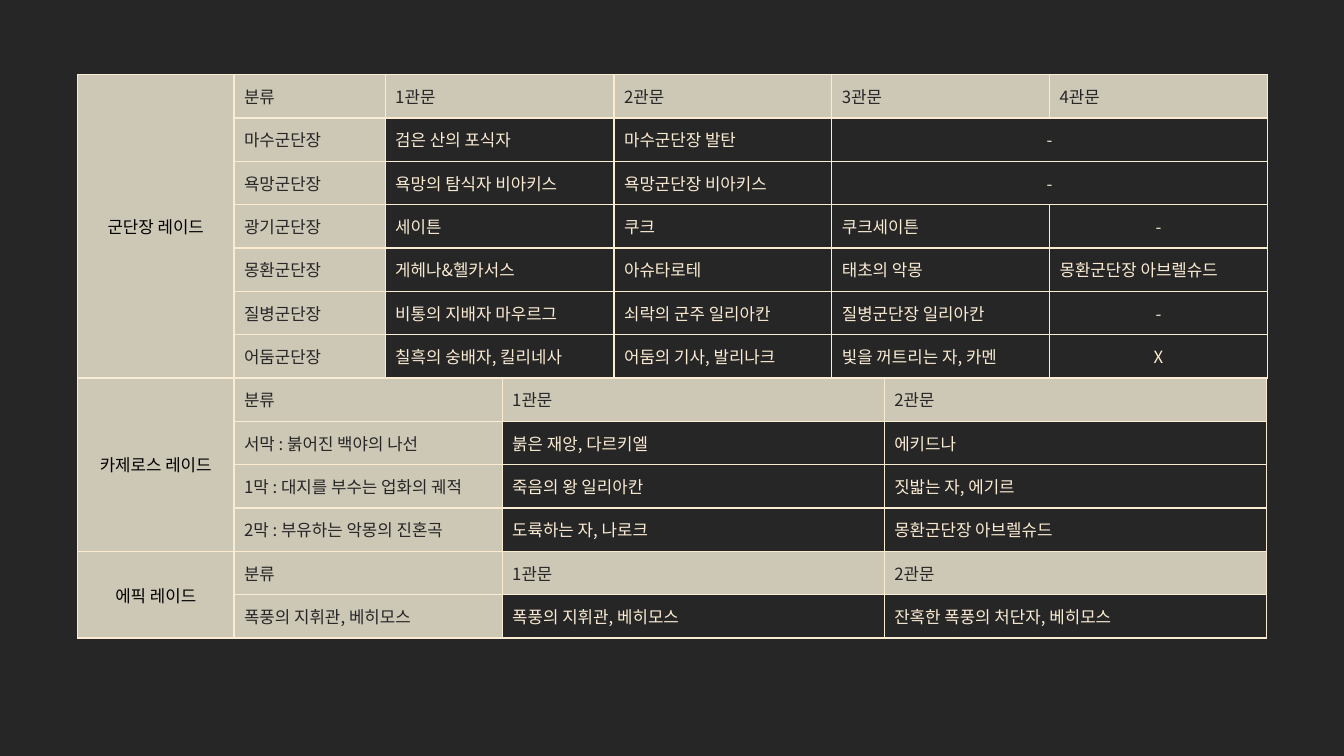
from lxml import etree
from pptx import Presentation
from pptx.dml.color import RGBColor
from pptx.enum.text import MSO_ANCHOR, PP_ALIGN
from pptx.oxml.ns import qn
from pptx.util import Inches, Pt

LEFT, CENTER = PP_ALIGN.LEFT, PP_ALIGN.CENTER
MIDDLE = MSO_ANCHOR.MIDDLE
FONT = "Noto Sans CJK KR"
COLORS = {"dark": "262626", "sand": "CDC7B6", "cream": "FAEBD3", "black": "000000"}
X, Y, ROW = 0.77, 0.74, 0.43

RAIDS = [
    ("군단장 레이드", [1.55, 1.5, 2.27, 2.16, 2.16, 2.16], [
        ["분류", "1관문", "2관문", "3관문", "4관문"],
        ["마수군단장", "검은 산의 포식자", "마수군단장 발탄", "-"],
        ["욕망군단장", "욕망의 탐식자 비아키스", "욕망군단장 비아키스", "-"],
        ["광기군단장", "세이튼", "쿠크", "쿠크세이튼", "-"],
        ["몽환군단장", "게헤나&헬카서스", "아슈타로테", "태초의 악몽", "몽환군단장 아브렐슈드"],
        ["질병군단장", "비통의 지배자 마우르그", "쇠락의 군주 일리아칸", "질병군단장 일리아칸", "-"],
        ["어둠군단장", "칠흑의 숭배자, 킬리네사", "어둠의 기사, 발리나크", "빛을 꺼트리는 자, 카멘", "X"],
    ]),
    ("카제로스 레이드", [1.55, 2.66, 3.79, 3.79], [
        ["분류", "1관문", "2관문"],
        ["서막 : 붉어진 백야의 나선", "붉은 재앙, 다르키엘", "에키드나"],
        ["1막 : 대지를 부수는 업화의 궤적", "죽음의 왕 일리아칸", "짓밟는 자, 에기르"],
        ["2막 : 부유하는 악몽의 진혼곡", "도륙하는 자, 나로크", "몽환군단장 아브렐슈드"],
    ]),
    ("에픽 레이드", [1.55, 2.66, 3.79, 3.79], [
        ["분류", "1관문", "2관문"],
        ["폭풍의 지휘관, 베히모스", "폭풍의 지휘관, 베히모스", "잔혹한 폭풍의 처단자, 베히모스"],
    ]),
]


def write(cell, text, color="cream", align=LEFT, size=12):
    cell.vertical_anchor = MIDDLE
    para = cell.text_frame.paragraphs[0]
    para.alignment = align
    run = para.add_run()
    run.text = text
    run.font.size = Pt(size)
    run.font.name = FONT
    run.font.color.rgb = RGBColor.from_string(COLORS[color])
    etree.SubElement(run.font._element, qn("a:ea"), typeface=FONT)


def style(cell, sand):
    props = cell._tc.get_or_add_tcPr()
    for side in ("lnL", "lnR", "lnT", "lnB"):
        line = etree.SubElement(props, qn("a:" + side), w=str(Pt(1)))
        fill = etree.SubElement(line, qn("a:solidFill"))
        etree.SubElement(fill, qn("a:srgbClr"), val=COLORS["cream"])
    if sand:
        cell.fill.solid()
        cell.fill.fore_color.rgb = RGBColor.from_string(COLORS["sand"])
    else:
        cell.fill.background()


deck = Presentation()
deck.slide_width, deck.slide_height = Inches(13.33), Inches(7.5)
slide = deck.slides.add_slide(deck.slide_layouts[6])
slide.background.fill.solid()
slide.background.fill.fore_color.rgb = RGBColor.from_string(COLORS["dark"])

top = Y
for name, widths, rows in RAIDS:
    high = ROW * len(rows)
    frame = slide.shapes.add_table(
        len(rows), len(widths), Inches(X), Inches(top), Inches(sum(widths)), Inches(high))
    table = frame.table
    table.first_row = table.horz_banding = False
    for col, width in zip(table.columns, widths):
        col.width = Inches(width)
    for r, row in enumerate(rows):
        table.rows[r].height = Inches(ROW)
        for c in range(len(widths)):
            style(table.cell(r, c), r == 0 or c < 2)
        for c, text in enumerate(row, 1):
            write(table.cell(r, c), text,
                  color="dark" if r == 0 or c == 1 else "cream",
                  align=CENTER if text in ("-", "X") else LEFT)
        if len(row) < len(widths) - 1:
            table.cell(r, len(row)).merge(table.cell(r, len(widths) - 1))
    write(table.cell(0, 0), name, color="black", align=CENTER)
    table.cell(0, 0).merge(table.cell(len(rows) - 1, 0))
    top += high

deck.save("out.pptx")
